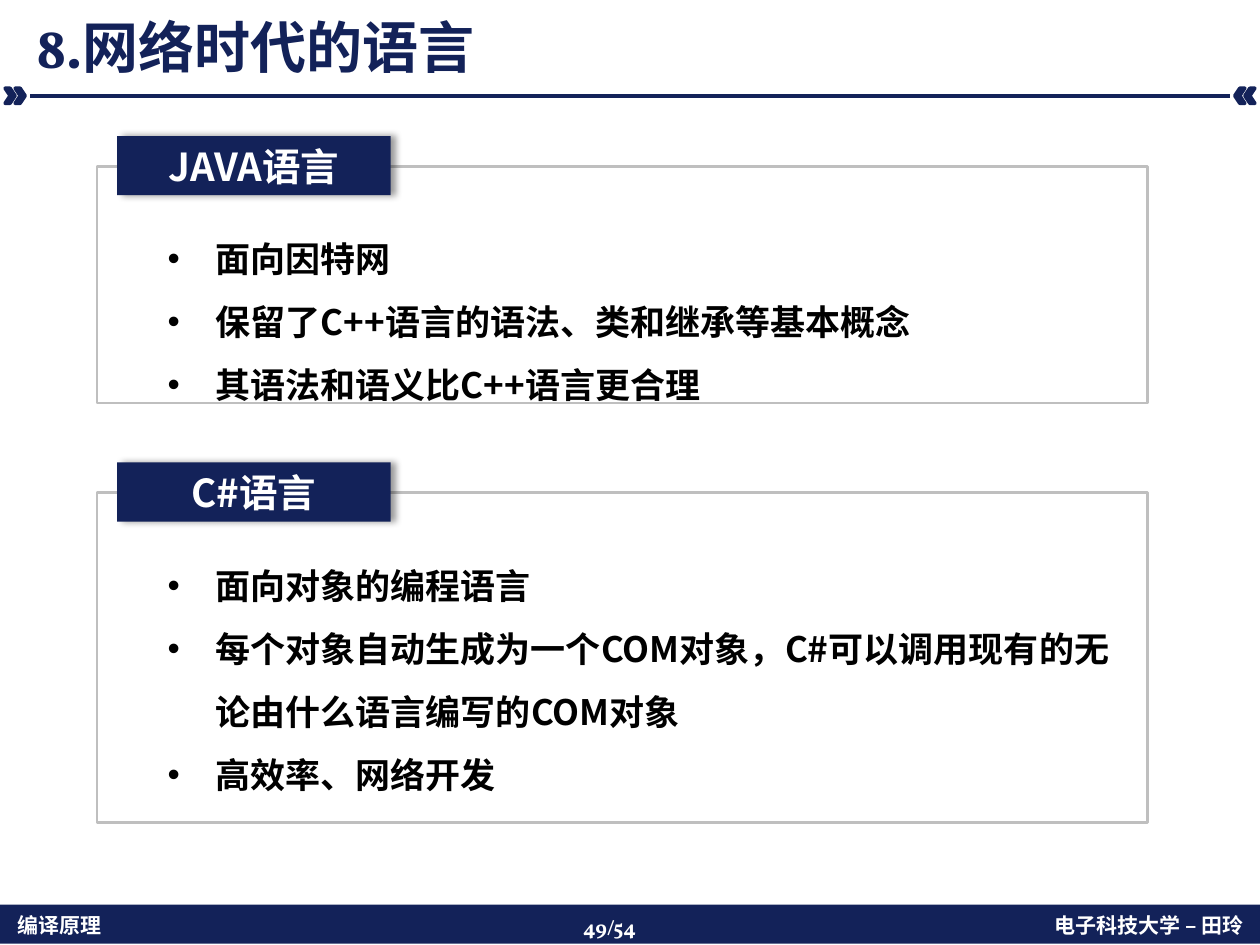
from lxml.etree import SubElement
from pptx import Presentation
from pptx.dml.color import RGBColor
from pptx.enum.shapes import MSO_CONNECTOR, MSO_SHAPE
from pptx.enum.text import MSO_ANCHOR, MSO_AUTO_SIZE, PP_ALIGN
from pptx.oxml import parse_xml
from pptx.oxml.ns import nsdecls, qn
from pptx.util import Inches, Pt

THEME = {
    "navy": RGBColor(0x13, 0x22, 0x59),
    "white": RGBColor(0xFF, 0xFF, 0xFF),
    "black": RGBColor(0, 0, 0),
    "gray": RGBColor(0xBF, 0xBF, 0xBF),
    "sans": "Noto Sans CJK SC",
    "serif": "Vollkorn",
    "title": Pt(32), "label": Pt(22), "list": Pt(20), "footer": Pt(12),
}


def write(p, text, size, color, font="sans", **layout):
    """Fill a paragraph with one bold run; layout holds paragraph settings."""
    for name, value in layout.items():
        setattr(p, name, value)
    r = p.add_run()
    r.text = text
    for name, value in {"size": THEME[size], "bold": True, "name": THEME[font]}.items():
        setattr(r.font, name, value)
    r.font.color.rgb = THEME[color]
    SubElement(r.font._element, qn("a:ea")).set("typeface", THEME["sans"])


def add_box(s, kind, box, fill=None, line=None, width=2):
    sp = s.shapes.add_shape(kind, *map(Inches, box))
    sp.shadow.inherit = False
    if fill:
        sp.fill.solid()
        sp.fill.fore_color.rgb = THEME[fill]
    else:
        sp.fill.background()
    if line:
        sp.line.color.rgb = THEME[line]
        sp.line.width = Pt(width)
    else:
        sp.line.fill.background()
    return sp


prs = Presentation()
prs.slide_width, prs.slide_height = Inches(10), Inches(7.5)
s = prs.slides.add_slide(prs.slide_layouts.get_by_name("Two Content"))
title, *lists = s.placeholders

# Footer band
add_box(s, MSO_SHAPE.RECTANGLE, (0, 7.18, 10, 0.31), "navy")
footers = [
    ("编译原理", (0.04, 7.19, 2.94, 0.3), "sans", PP_ALIGN.LEFT),
    ("49/54", (4.53, 7.21, 0.94, 0.3), "serif", PP_ALIGN.LEFT),
    ("电子科技大学 – 田玲", (6.98, 7.19, 2.99, 0.3), "sans", PP_ALIGN.RIGHT),
]
for text, box, font, align in footers:
    tf = s.shapes.add_textbox(*map(Inches, box)).text_frame
    tf.word_wrap = True
    write(tf.paragraphs[0], text, "footer", "white", font, alignment=align)

# Rule under the title, with mirrored chevrons at both ends
for x in (0.04, 0.12):
    for left, flipped in ((x, False), (10 - x - 0.08, True)):
        sp = add_box(s, MSO_SHAPE.CHEVRON, (left, 0.7, 0.08, 0.12), "navy", "navy")
        if flipped:
            sp._element.spPr.find(qn("a:xfrm")).set("flipH", "1")
rule = s.shapes.add_connector(
    MSO_CONNECTOR.STRAIGHT, Inches(0.24), Inches(0.76), Inches(9.76), Inches(0.76))
rule.line.color.rgb = THEME["navy"]
rule.line.width = Pt(2)
SubElement(rule._element.spPr, qn("a:effectLst"))

# Title
title.left, title.top, title.width, title.height = map(Inches, (0.19, 0.05, 9.61, 0.64))
tf = title.text_frame
tf.auto_size = MSO_AUTO_SIZE.NONE
tf.vertical_anchor = MSO_ANCHOR.BOTTOM
write(tf.paragraphs[0], "8.网络时代的语言", "title", "navy", "serif",
      alignment=PP_ALIGN.LEFT, line_spacing=0.9)

# Language panels: label top, frame height, list height, list items
panels = [
    ("JAVA语言", 1.08, 1.88, 1.54, [
        "面向因特网",
        "保留了C++语言的语法、类和继承等基本概念",
        "其语法和语义比C++语言更合理"]),
    ("C#语言", 3.67, 2.62, 2.12, [
        "面向对象的编程语言",
        "每个对象自动生成为一个COM对象，C#可以调用现有的无论由什么语言编写的COM对象",
        "高效率、网络开发"]),
]
for body, (label, top, frame_h, list_h, items) in zip(lists, panels):
    add_box(s, MSO_SHAPE.RECTANGLE, (0.77, top + 0.24, 8.34, frame_h), line="gray", width=1.5)

    # Label with a soft shadow to the right
    sp = add_box(s, MSO_SHAPE.RECTANGLE, (0.93, top, 2.17, 0.47), "navy")
    sp._element.spPr.find(qn("a:effectLst")).append(parse_xml(
        f'<a:outerShdw {nsdecls("a")} blurRad="{Pt(4)}" dist="{Pt(3)}" dir="0" algn="l" '
        'rotWithShape="0"><a:srgbClr val="000000"><a:alpha val="40000"/></a:srgbClr>'
        '</a:outerShdw>'))
    sp.text_frame.vertical_anchor = MSO_ANCHOR.MIDDLE
    write(sp.text_frame.paragraphs[0], label, "label", "white", alignment=PP_ALIGN.CENTER)

    # Bulleted list
    body.left, body.top, body.width, body.height = map(
        Inches, (1.23, top + 0.59, 7.8, list_h))
    tf = body.text_frame
    tf.auto_size = MSO_AUTO_SIZE.NONE
    for i, item in enumerate(items):
        p = tf.add_paragraph() if i else tf.paragraphs[0]
        pPr = p._p.get_or_add_pPr()
        pPr.set("marL", str(Inches(0.38)))
        pPr.set("indent", str(-Inches(0.38)))
        SubElement(pPr, qn("a:buFont")).set("typeface", "Arial")
        SubElement(pPr, qn("a:buChar")).set("char", "•")
        write(p, item, "list", "black", line_spacing=1.5, space_before=Pt(0))

prs.save("out.pptx")
